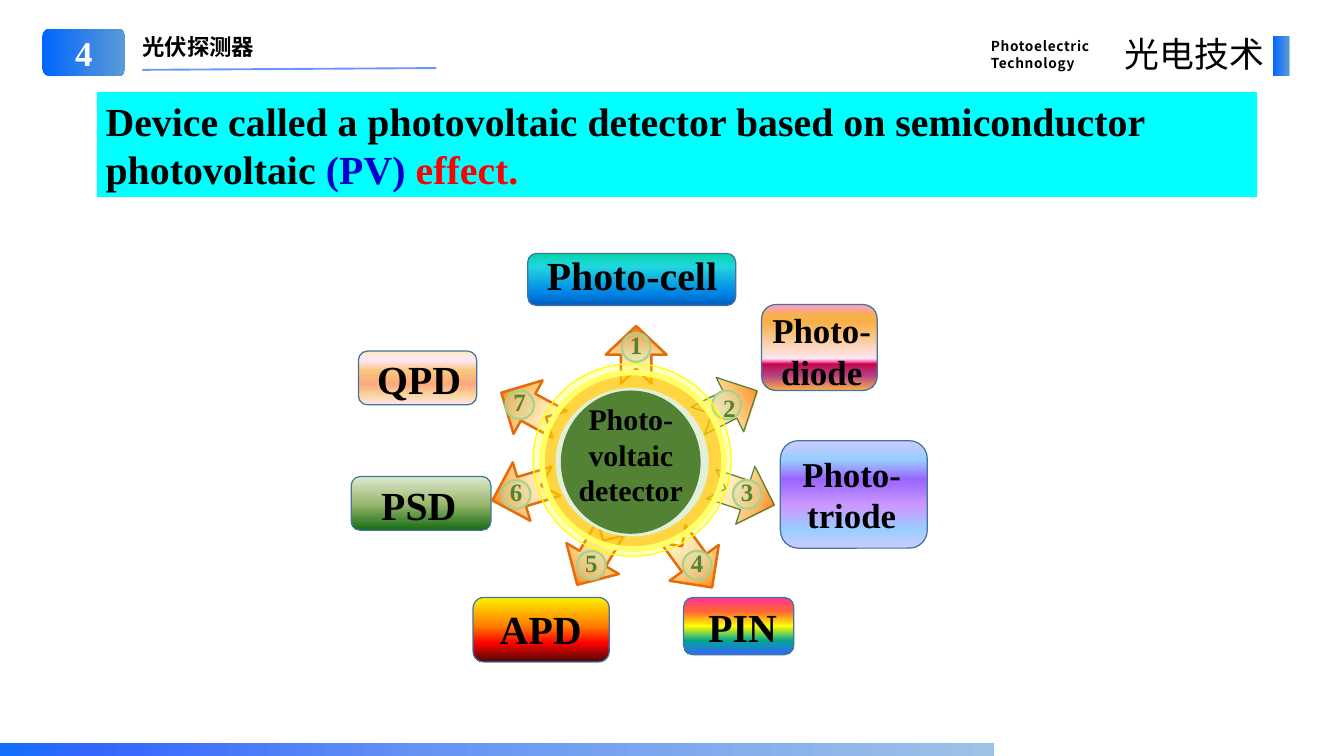
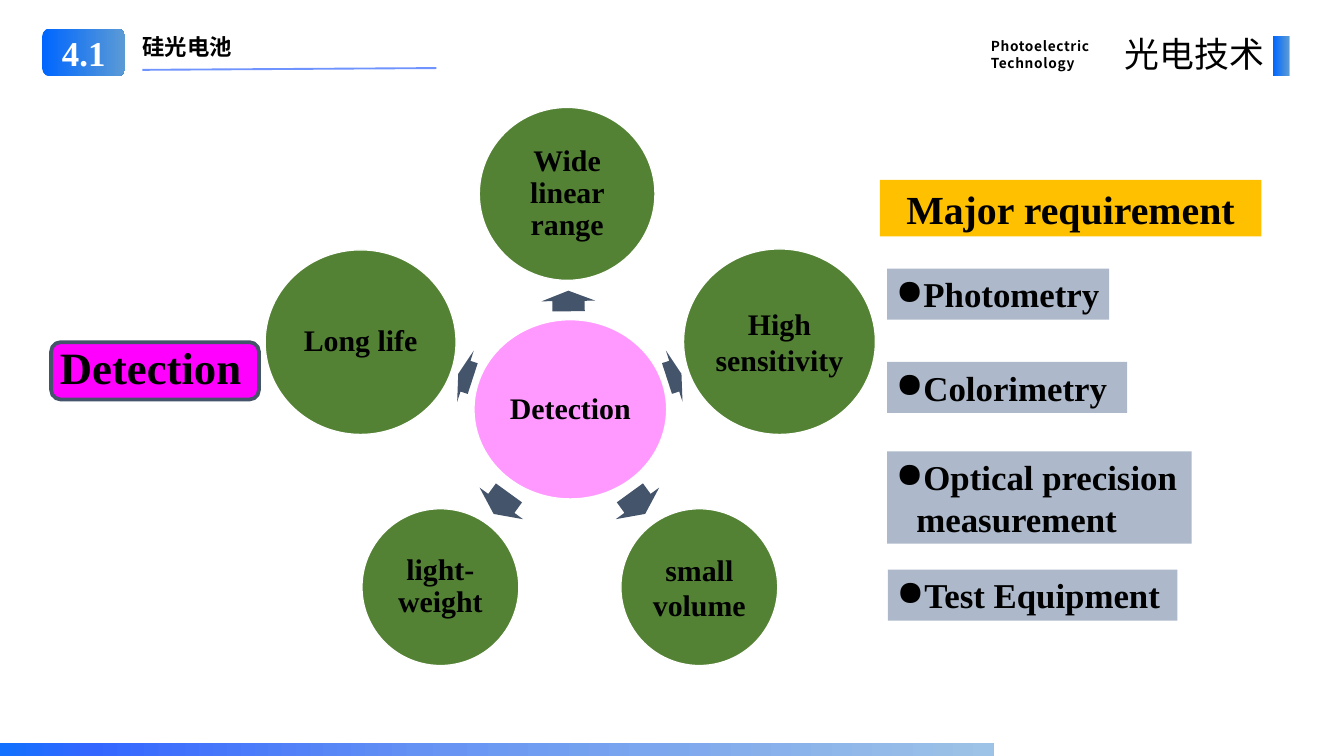
from dataclasses import dataclass

from lxml.etree import SubElement
from pptx import Presentation
from pptx.dml.color import RGBColor
from pptx.enum.shapes import MSO_CONNECTOR, MSO_SHAPE as Kind
from pptx.enum.text import MSO_ANCHOR as Anchor, PP_ALIGN as Align
from pptx.oxml import parse_xml
from pptx.oxml.ns import nsdecls, qn
from pptx.util import Inches, Pt


@dataclass(frozen=True)
class Gradient:
    """Stops are (percent, colour) or (percent, colour, opacity); the angle turns clockwise."""
    stops: tuple
    angle: int = 90


@dataclass(frozen=True)
class Tint:
    colour: str
    opacity: int


@dataclass(frozen=True)
class Theme:
    serif: str = "Times New Roman"
    sans: str = "Noto Sans CJK SC"
    black: str = "000000"
    white: str = "FFFFFF"
    green: str = "548235"
    slate: str = "44546A"
    grey: str = "ADB9CA"
    cyan: str = "00FFFF"
    navy: str = "0000CC"
    red: str = "FF0000"
    yellow: str = "FFFF00"
    lemon: str = "FFFF66"
    gold: str = "FFC000"
    pale_green: str = "E2F0D9"
    number_ring: str = "A9D18E"
    orange: str = "E46C0A"
    pink: str = "FF99FF"
    magenta: str = "FF00FF"
    rule: str = "3366FF"
    label_edge: str = "43739E"
    number_fill: Tint = Tint("C5E0B4", 33)
    badge: Gradient = Gradient(((0, "0066FF"), (100, "5B9BD5")), 0)
    footer: Gradient = Gradient(
        ((0, "1271FE"), (9, "3366FF"), (45, "6895F3"), (100, "9DC3E6")), 0)
    flame: Gradient = Gradient(((0, "FF6600"), (100, "FFFF66", 0)), 180)
    tiny: int = 11
    heading: int = 18
    number: int = 20
    body: int = 24
    item: int = 28
    title: int = 32
    large: int = 36


THEME = Theme()


def set_opacity(properties, percent):
    colour = next(properties.iter(qn("a:srgbClr")))
    SubElement(colour, qn("a:alpha")).set("val", str(percent * 1000))


def gradient_xml(gradient):
    stops = ""
    for percent, colour, *opacity in gradient.stops:
        alpha = "".join(f'<a:alpha val="{value * 1000}"/>' for value in opacity)
        stops += (f'<a:gs pos="{percent * 1000}"><a:srgbClr val="{colour}">'
                  f'{alpha}</a:srgbClr></a:gs>')
    return parse_xml(
        f'<a:gradFill {nsdecls("a")} rotWithShape="1"><a:gsLst>{stops}</a:gsLst>'
        f'<a:lin ang="{gradient.angle * 60000}" scaled="0"/></a:gradFill>')


class SlideBuilder:
    def __init__(self, deck, theme):
        self.deck = deck
        self.theme = theme
        self.page = None

    def new_page(self):
        self.page = self.deck.slides.add_slide(self.deck.slide_layouts[6])

    def shape(self, kind, at, fill, line=None, width=1, rotation=0, adjust=()):
        shape = self.page.shapes.add_shape(kind, *map(Inches, at))
        shape.shadow.inherit = False
        shape.rotation = rotation
        for index, value in enumerate(adjust):
            shape.adjustments[index] = value
        self.paint(shape, fill)
        if line:
            shape.line.color.rgb = RGBColor.from_string(line)
            shape.line.width = Pt(width)
        else:
            shape.line.fill.background()
        return shape

    def paint(self, shape, fill):
        properties = shape._element.spPr
        if isinstance(fill, Gradient):
            shape.fill.background()
            properties.replace(properties.find(qn("a:noFill")), gradient_xml(fill))
            return
        colour = fill.colour if isinstance(fill, Tint) else fill
        shape.fill.solid()
        shape.fill.fore_color.rgb = RGBColor.from_string(colour)
        if isinstance(fill, Tint):
            set_opacity(properties, fill.opacity)

    def rule(self, start, end, colour, width, opacity):
        line = self.page.shapes.add_connector(
            MSO_CONNECTOR.STRAIGHT, *map(Inches, start + end))
        line.line.color.rgb = RGBColor.from_string(colour)
        line.line.width = Pt(width)
        properties = line._element.spPr
        set_opacity(properties, opacity)
        SubElement(properties, qn("a:effectLst"))

    def text(self, at, text, size, inset=None, **style):
        box = self.page.shapes.add_textbox(*map(Inches, at))
        self.fill_text(box, text, size, inset=inset, **style)
        return box

    def fill_text(self, shape, text, size, inset=None, align=Align.LEFT, anchor=Anchor.TOP,
                  spacing=None, bullet=None, **font):
        frame = shape.text_frame
        frame.word_wrap = True
        frame.vertical_anchor = anchor
        if inset is not None:
            frame.margin_left = frame.margin_right = Inches(inset)
            frame.margin_top = frame.margin_bottom = Inches(inset)
        frame.text = text
        for para in frame.paragraphs:
            para.alignment = align
            if spacing:
                para.line_spacing = spacing
            if bullet:
                self.bullet(para, bullet)
            for span in para.runs:
                self.style(span, size, **font)

    def bullet(self, para, mark, indent=0.23):
        properties = para._p.get_or_add_pPr()
        properties.set("marL", str(Inches(indent)))
        properties.set("indent", str(-Inches(indent)))
        SubElement(properties, qn("a:buChar")).set("char", mark)

    def style(self, span, size, colour=None, face=None, bold=True, tracking=0):
        """Tracking is in hundredths of a point."""
        face = face or self.theme.serif
        span.font.size = Pt(size)
        span.font.bold = bold
        span.font.name = face
        span.font.color.rgb = RGBColor.from_string(colour or self.theme.black)
        properties = span._r.get_or_add_rPr()
        SubElement(properties, qn("a:ea")).set("typeface", face)
        if tracking:
            properties.set("spc", str(tracking))

    def frame(self, number, heading):
        """Add the header and the footer band that every slide shares."""
        theme = self.theme
        self.text((1.49, 0.32, 3.5, 0.4), heading, theme.heading, face=theme.sans)
        self.text((10.96, 0.36, 1.58, 0.49), "Photoelectric\nTechnology", theme.tiny,
                  face=theme.sans, spacing=Pt(14), tracking=50)
        self.shape(Kind.RECTANGLE, (14.21, 0.4, 0.18, 0.45), theme.badge)
        badge = self.shape(Kind.ROUNDED_RECTANGLE, (0.47, 0.32, 0.93, 0.53), theme.badge)
        self.fill_text(badge, number, theme.item, align=Align.CENTER, anchor=Anchor.MIDDLE,
                       colour=theme.white)
        self.rule((1.59, 0.78), (4.87, 0.76), theme.rule, 1.5, 70)
        self.text((12.31, 0.32, 1.9, 0.57), "光电技术", theme.item, align=Align.RIGHT,
                  face=theme.sans, bold=False, tracking=20)
        self.shape(Kind.RECTANGLE, (0, 8.3, 11.09, 0.14), theme.footer)

    def numbered_arrow(self, number, at, rotation, circle, line, width, nudge):
        theme = self.theme
        left, top = circle
        self.shape(Kind.NOTCHED_RIGHT_ARROW, at, theme.flame, line, width, rotation)
        self.shape(Kind.OVAL, (left, top, 0.32, 0.32), theme.number_fill,
                   theme.number_ring, 1.75)
        self.text((left + nudge[0], top + nudge[1], 0.24, 0.33), str(number),
                  theme.number, inset=0, colour=theme.green)

    def label(self, text, at, text_at, size, stops):
        self.shape(Kind.ROUNDED_RECTANGLE, at, Gradient(stops), self.theme.label_edge)
        self.text(text_at, text, size, inset=0, align=Align.CENTER)

    def bubble(self, text, at, fill, spacing=None):
        bubble = self.shape(Kind.OVAL, at, fill, self.theme.white)
        self.fill_text(bubble, text, self.theme.body, inset=0.03, align=Align.CENTER,
                       anchor=Anchor.MIDDLE, spacing=spacing)


def build_detector_family(slide):
    theme = slide.theme
    slide.new_page()
    strong, thin = (theme.orange, 2), (theme.green, 1)
    usual = (0.09, -0.04)
    arrows = [
        ((6.78, 3.62, 0.64, 0.68), 270, (6.94, 3.72), strong, usual),
        ((7.75, 4.19, 0.74, 0.68), 333.2, (7.95, 4.36), thin, (0.12, 0.02)),
        ((7.92, 5.18, 0.74, 0.68), 18.3, (8.18, 5.36), thin, usual),
        ((7.36, 5.92, 0.74, 0.68), 53.9, (7.62, 6.15), strong, usual),
        ((6.26, 5.87, 0.74, 0.68), 120.5, (6.44, 6.15), strong, usual),
        ((5.48, 5.14, 0.74, 0.68), 163.2, (5.6, 5.36), strong, usual),
        ((5.55, 4.22, 0.74, 0.68), 208.5, (5.64, 4.36), strong, usual),
    ]
    for number, (at, rotation, circle, edge, nudge) in enumerate(arrows, 1):
        slide.numbered_arrow(number, at, rotation, circle, *edge, nudge)

    for at, fill, line, width in [
        ((5.95, 4.06, 2.21, 2.15), Tint(theme.yellow, 25), theme.yellow, 1),
        ((6.05, 4.16, 2.03, 1.97), Tint(theme.gold, 65), theme.lemon, 4.5),
        ((6.2, 4.33, 1.71, 1.66), theme.pale_green, None, 0),
        ((6.26, 4.36, 1.56, 1.6), theme.green, None, 0),
    ]:
        slide.shape(Kind.OVAL, at, fill, line, width)
    slide.text((6.25, 4.47, 1.58, 1.2), "Photo-voltaic detector", theme.body,
               inset=0, align=Align.CENTER)

    labels = [
        ("PIN", (7.63, 6.67, 1.23, 0.64), (7.63, 6.73, 1.32, 0.53), theme.title,
         ((0, "FF3399"), (25, "FF6633"), (50, "FFFF00"), (75, "01A78F"), (100, "3366FF"))),
        ("Photo-cell", (5.89, 2.83, 2.32, 0.58), (6.01, 2.8, 2.09, 0.27), theme.title,
         ((0, "03D4A8"), (25, "21D6E0"), (75, "0087E6"), (100, "005CBF"))),
        ("Photo-diode", (8.5, 3.4, 1.29, 0.96), (8.47, 3.45, 1.4, 1.28), theme.item,
         ((0, "FC9FCB"), (13, "F8B049"), (21, "F8B049"), (63, "FEE7F2"),
          (67, "F952A0"), (69, "C50849"), (82, "B43E85"), (100, "F8B049"))),
        ("Photo-triode", (8.71, 4.92, 1.64, 1.2), (8.71, 5.05, 1.59, 0.93), theme.item,
         ((0, "CCCCFF"), (18, "99CCFF"), (36, "9966FF"), (61, "CC99FF"),
          (82, "99CCFF"), (100, "CCCCFF"))),
        ("QPD", (4, 3.92, 1.32, 0.6), (4, 3.96, 1.36, 0.53), theme.title,
         ((0, "FBEAC7"), (18, "FEE7F2"), (36, "FAC77D"), (61, "FBA97D"),
          (82, "FBD49C"), (100, "FEE7F2"))),
        ("APD", (5.28, 6.67, 1.52, 0.72), (5.31, 6.75, 1.45, 0.53), theme.title,
         ((0, "FFF200"), (45, "FF7A00"), (70, "FF0300"), (100, "4D0808"))),
        ("PSD", (3.92, 5.32, 1.56, 0.6), (3.92, 5.37, 1.51, 0.53), theme.title,
         ((0, "DDEBCF"), (50, "9CB86E"), (100, "156B13"))),
    ]
    for label in labels:
        slide.label(*label)

    banner = slide.shape(Kind.RECTANGLE, (1.08, 1.03, 12.95, 1.17), theme.cyan)
    slide.fill_text(banner, "Device called a photovoltaic detector based on semiconductor "
                    "photovoltaic ", theme.title)
    for words, colour in [("(PV) ", theme.navy), ("effect.", theme.red)]:
        span = banner.text_frame.paragraphs[0].add_run()
        span.text = words
        slide.style(span, theme.title, colour)
    slide.frame("4", "光伏探测器")


def build_detection_needs(slide):
    theme = slide.theme
    slide.new_page()
    slide.bubble("Detection", (5.29, 3.57, 2.15, 2), theme.pink, 0.9)
    for left, top, width, rotation in [
        (6.23, 3.06, 0.23, 269.3), (7.44, 3.9, 0.17, 342), (6.97, 5.32, 0.29, 54),
        (5.45, 5.32, 0.29, 126), (5.11, 3.9, 0.17, 198),
    ]:
        slide.shape(Kind.RIGHT_ARROW, (left, top, width, 0.6), theme.slate,
                    rotation=rotation, adjust=(0.6, 0.5))
    for text, at, spacing in [
        ("Wide linear range", (5.35, 1.2, 1.96, 1.93), 0.9),
        ("High sensitivity", (7.63, 2.78, 2.14, 2.07), None),
        ("small volume", (6.93, 5.68, 1.75, 1.75), None),
        ("light-weight", (4.04, 5.68, 1.75, 1.75), 0.9),
        ("Long life", (2.96, 2.79, 2.13, 2.06), 0.9),
    ]:
        slide.bubble(text, at, theme.green, spacing)

    heading = slide.shape(Kind.RECTANGLE, (9.82, 2.01, 4.26, 0.63), theme.gold)
    slide.fill_text(heading, "Major requirement", theme.title, align=Align.CENTER)
    for text, at in [
        ("Photometry", (9.9, 3, 2.48, 0.57)),
        ("Colorimetry", (9.9, 4.04, 2.68, 0.57)),
        ("Optical precision measurement", (9.9, 5.04, 3.4, 1.03)),
        ("Test Equipment", (9.91, 6.36, 3.23, 0.57)),
    ]:
        requirement = slide.shape(Kind.RECTANGLE, at, theme.grey)
        slide.fill_text(requirement, text, theme.item, bullet="●")

    slide.shape(Kind.FLOWCHART_ALTERNATE_PROCESS, (0.57, 3.82, 2.32, 0.64),
                theme.magenta, theme.slate, 3)
    slide.text((0.57, 3.74, 2.43, 0.7), "Detection", theme.large)
    slide.frame("4.1", "硅光电池")


def main():
    deck = Presentation()
    deck.slide_width, deck.slide_height = Inches(15), Inches(8.44)
    slide = SlideBuilder(deck, THEME)
    build_detector_family(slide)
    build_detection_needs(slide)
    deck.save("out.pptx")


if __name__ == "__main__":
    main()
